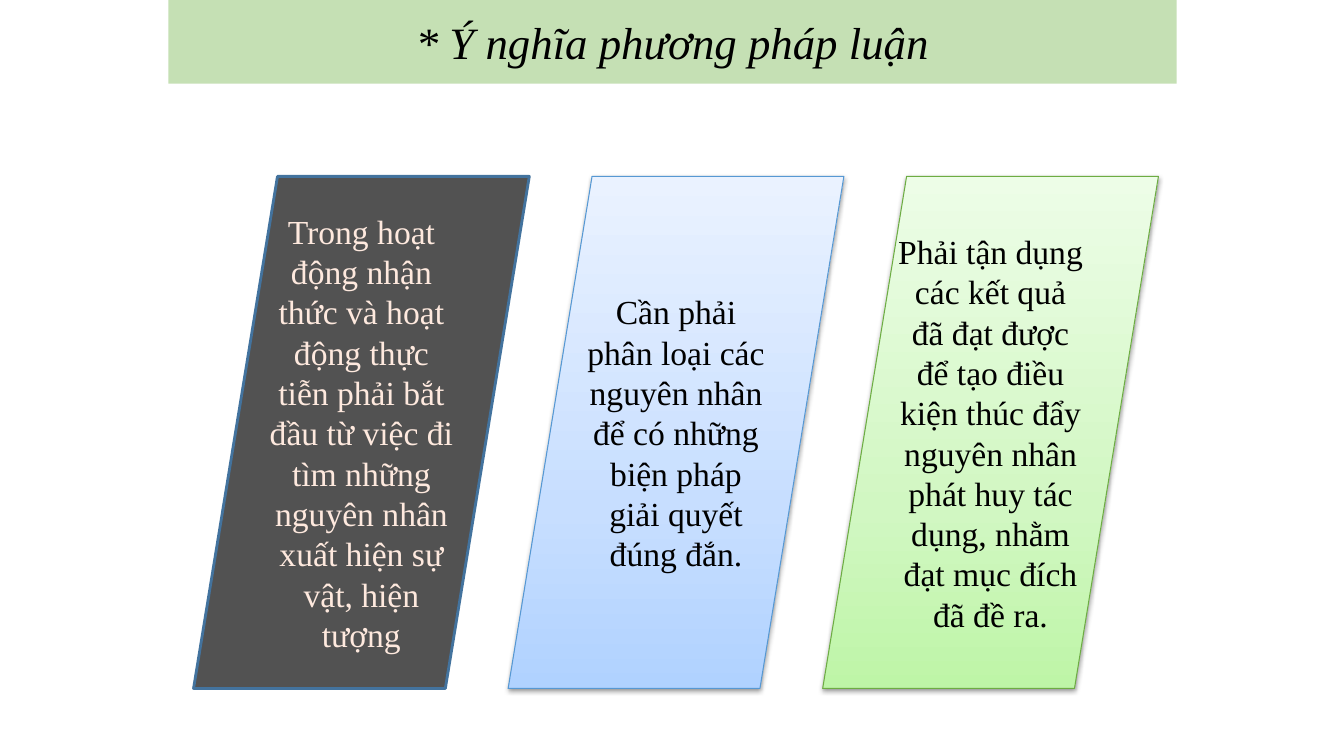
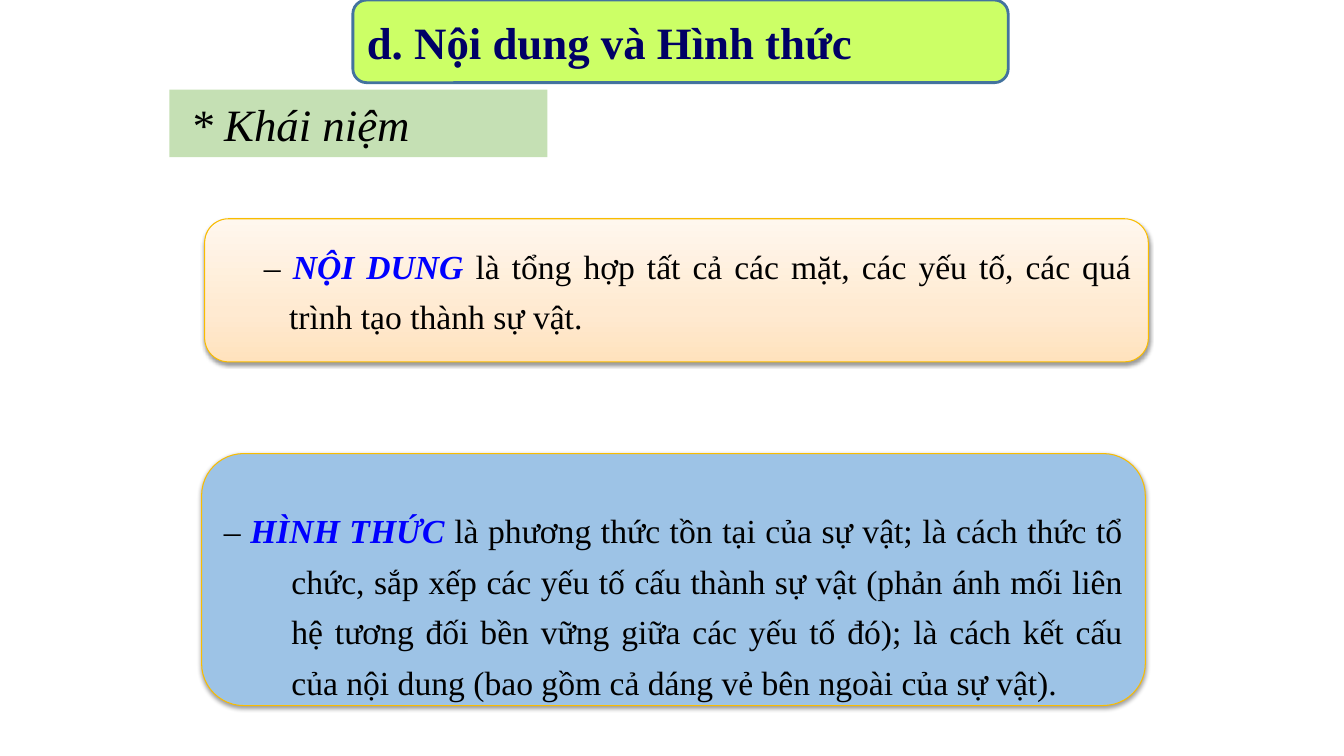
from lxml import etree
from pptx import Presentation
from pptx.dml.color import RGBColor
from pptx.enum.shapes import MSO_SHAPE
from pptx.enum.text import MSO_ANCHOR, MSO_AUTO_SIZE, PP_ALIGN
from pptx.oxml.ns import qn
from pptx.util import Inches, Pt

PARALLELOGRAM = MSO_SHAPE.PARALLELOGRAM
ROUNDED = MSO_SHAPE.ROUNDED_RECTANGLE
LEFT, CENTER, JUSTIFY = PP_ALIGN.LEFT, PP_ALIGN.CENTER, PP_ALIGN.JUSTIFY
TOP, MIDDLE = MSO_ANCHOR.TOP, MSO_ANCHOR.MIDDLE
NO_AUTOFIT = MSO_AUTO_SIZE.NONE

FONT = "Times New Roman"
TITLE_SIZE, BODY_SIZE = 32, 24
BLACK, NAVY, BLUE, PEACH = "000000", "000066", "0000FF", "FEE9DE"
BAND, LIME, GRAY, SKY = "C5E0B4", "CCFF66", "525252", "9DC3E6"
BORDER, GOLD = "43739E", "F9BC00"
STOPS = (0, 35, 100)  # gradient positions in percent, bottom to top

# text, text colour, fill (one colour or one per stop), line, line width, shadow
LESSONS = [
    ("Trong hoạt động nhận thức và hoạt động thực tiễn phải bắt đầu từ việc "
     "đi tìm những nguyên nhân xuất hiện sự vật, hiện tượng",
     PEACH, GRAY, BORDER, 2, False),
    ("Cần phải phân loại các nguyên nhân để có những biện pháp giải quyết "
     "đúng đắn.",
     BLACK, ("B0D2FF", "C7DEFF", "EAF2FF"), "5698D3", 0.75, True),
    ("Phải tận dụng các kết quả đã đạt được để tạo điều kiện thúc đẩy nguyên "
     "nhân phát huy tác dụng, nhằm đạt mục đích đã đề ra.",
     BLACK, ("BEF5A7", "D1F7C2", "EDFDE7"), "6DAC43", 0.75, True),
]
LESSON_LEFT, LESSON_STEP = 1.92, 3.12

# term, definition, box, fill, first-line indent, top inset
DEFINITIONS = [
    ("NỘI DUNG",
     " là tổng hợp tất cả các mặt, các yếu tố, các quá trình tạo thành sự vật.",
     (2.03, 2.17, 9.36, 1.42), ("FFE2BD", "FFEAD1", "FFF7EE"), -0.25, 0.1),
    ("HÌNH THỨC",
     " là phương thức tồn tại của sự vật; là cách thức tổ chức, sắp xếp các "
     "yếu tố cấu thành sự vật (phản ánh mối liên hệ tương đối bền vững giữa "
     "các yếu tố đó); là cách kết cấu của nội dung (bao gồm cả dáng vẻ bên "
     "ngoài của sự vật).",
     (2, 4.5, 9.36, 2.5), SKY, -0.67, 0.34),
]
HANGING = 0.67


def rgb(color):
    return RGBColor.from_string(color)


def set_fill(s, fill):
    """Fill with one colour, or with a vertical gradient for a tuple."""
    if isinstance(fill, str):
        s.fill.solid()
        s.fill.fore_color.rgb = rgb(fill)
        return
    s.fill.gradient()
    s.fill.gradient_angle = 90
    stops = s._element.spPr.find(qn("a:gradFill")).find(qn("a:gsLst"))
    for old in list(stops):
        stops.remove(old)
    for position, color in zip(STOPS, fill):
        stop = etree.SubElement(stops, qn("a:gs"), pos=str(position * 1000))
        etree.SubElement(stop, qn("a:srgbClr"), val=color)


def add_shadow(s):
    effects = s._element.spPr.find(qn("a:effectLst"))
    outer = etree.SubElement(effects, qn("a:outerShdw"), blurRad="40000",
                             dist="20000", dir="5400000", rotWithShape="0")
    color = etree.SubElement(outer, qn("a:srgbClr"), val=BLACK)
    etree.SubElement(color, qn("a:alpha"), val="38000")


def add_box(slide, shape, box, fill, line, width, shadow=False):
    s = slide.shapes.add_shape(shape, *map(Inches, box))
    s.shadow.inherit = False
    set_fill(s, fill)
    s.line.color.rgb = rgb(line)
    s.line.width = Pt(width)
    if shadow:
        add_shadow(s)
    return s


def write(s, runs, size, align, anchor=MIDDLE):
    """Fill the first paragraph with (text, colour, bold, italic) runs."""
    tf = s.text_frame
    tf.word_wrap = True
    tf.auto_size = NO_AUTOFIT
    tf.vertical_anchor = anchor
    p = tf.paragraphs[0]
    p.alignment = align
    for text, color, bold, italic in runs:
        r = p.add_run()
        r.text = text
        r.font.name = FONT
        r.font.size = Pt(size)
        r.font.bold = bold
        r.font.italic = italic
        r.font.color.rgb = rgb(color)
    return p


def add_titled_slide(prs, title, box, align, inset=0.1):
    slide = prs.slides.add_slide(prs.slide_layouts[5])
    s = slide.shapes.title
    s.left, s.top, s.width, s.height = map(Inches, box)
    set_fill(s, BAND)
    write(s, [(title, BLACK, False, True)], TITLE_SIZE, align)
    s.text_frame.margin_left = Inches(inset)
    return slide


def build_lessons(prs):
    slide = add_titled_slide(prs, "* Ý nghĩa phương pháp luận",
                             (1.67, 0, 10, 0.83), CENTER)
    for i, (text, color, *style) in enumerate(LESSONS):
        box = (LESSON_LEFT + i * LESSON_STEP, 1.75, 3.33, 5.08)
        s = add_box(slide, PARALLELOGRAM, box, *style)
        write(s, [(text, color, False, False)], BODY_SIZE, CENTER)


def build_definitions(prs):
    slide = add_titled_slide(prs, "* Khái niệm", (1.68, 0.89, 3.75, 0.67),
                             LEFT, 0.21)
    header = add_box(slide, ROUNDED, (3.5, 0, 6.5, 0.82), LIME, BORDER, 2)
    write(header, [("d. Nội dung và Hình thức", NAVY, True, False)],
          TITLE_SIZE, LEFT)
    for term, meaning, box, fill, indent, inset in DEFINITIONS:
        s = add_box(slide, ROUNDED, box, fill, GOLD, 0.75, True)
        s.text_frame.margin_top = Inches(inset)
        runs = [("– ", BLACK, False, False), (term, BLUE, True, True),
                (meaning, BLACK, False, False)]
        p = write(s, runs, BODY_SIZE, JUSTIFY, TOP)
        p.line_spacing = 1.25
        pPr = p._p.get_or_add_pPr()
        pPr.set("marL", str(Inches(HANGING)))
        pPr.set("indent", str(Inches(indent)))


def main():
    prs = Presentation()
    prs.slide_width, prs.slide_height = Inches(13.33), Inches(7.5)
    build_lessons(prs)
    build_definitions(prs)
    prs.save("out.pptx")


if __name__ == "__main__":
    main()
